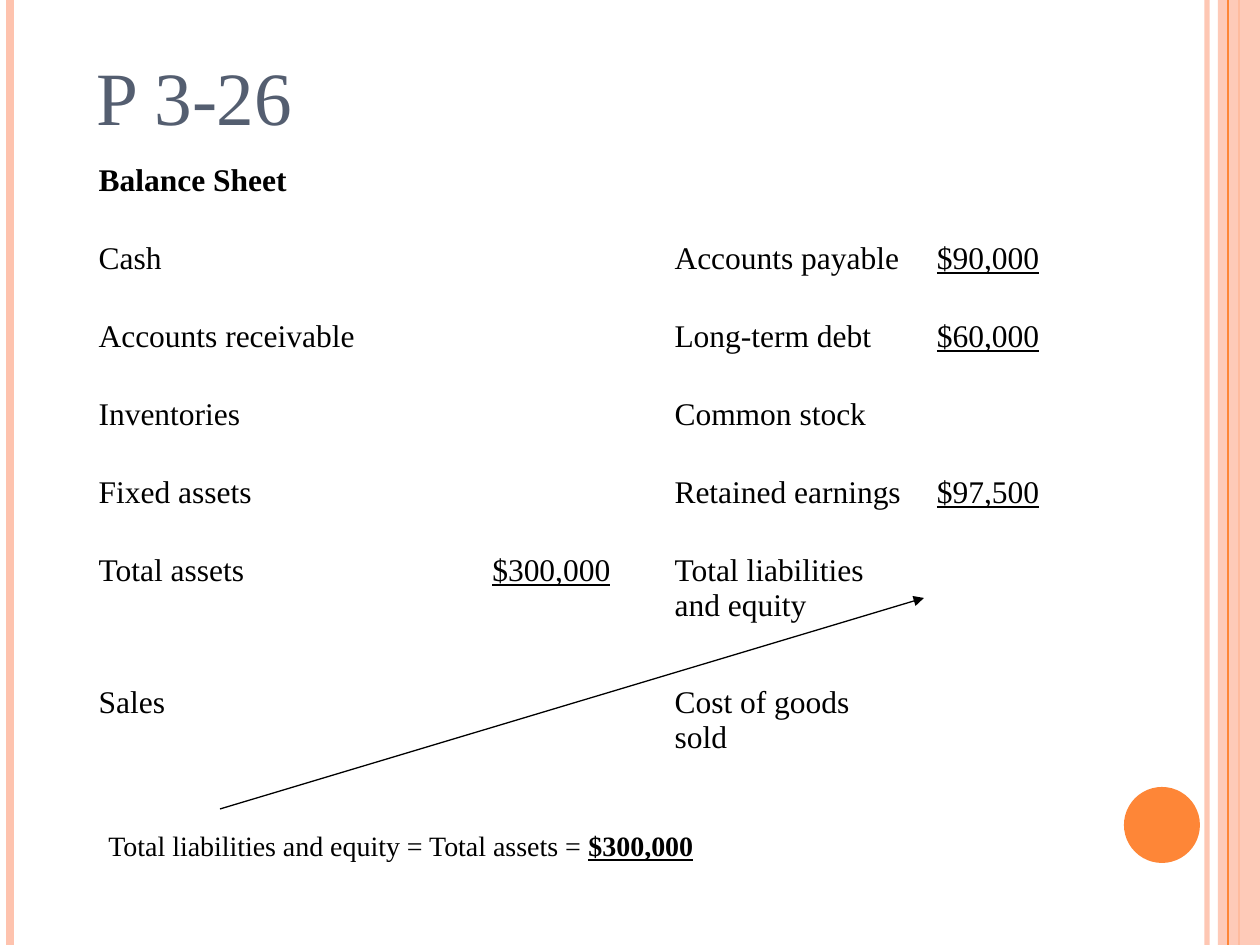
"""Build the P 3-26 balance sheet slide."""
from lxml import etree
from pptx import Presentation
from pptx import util as u
from pptx.dml.color import RGBColor
from pptx.enum import shapes, text
from pptx.oxml.ns import qn

PX = 914400 / 126
WIDTH, HEIGHT = 1260, 945
BLACK, SLATE, ORANGE, PEACH = "000000", "545E70", "FE8637", "FEC3AE"
FONT = "Times New Roman"
NO_STYLE = "{2D5ABB26-0587-4C30-8999-92F81FD0307C}"

TITLE = "P 3-26"
NOTE = "Total liabilities and equity = Total assets = "
NOTE_AMOUNT = "$300,000"
ROWS = [
    ("Balance Sheet", "", "", "", ""),
    ("Cash", "", "", "Accounts payable", "$90,000"),
    ("Accounts receivable", "", "", "Long-term debt", "$60,000"),
    ("Inventories", "", "", "Common stock", ""),
    ("Fixed assets", "", "", "Retained earnings", "$97,500"),
    ("Total assets", "$300,000", "", "Total liabilities and equity", ""),
    ("Sales", "", "", "Cost of goods sold", ""),
]
COLUMN_WIDTHS = [377, 160, 39, 258, 132]
ROW_HEIGHTS = [78, 78, 78, 78, 78, 132, 78]
AMOUNT_COLUMNS = (1, 4)
STRIPES = [(1207, PEACH, 3, 93), (10, PEACH, 4.5, 100), (1239, ORANGE, 1.5, 100)]
INNER_STRIPE = (1228, ORANGE, 0.75, 100)


def px(value):
    return u.Emu(round(value * PX))


def box(*values):
    return [px(value) for value in values]


def color(hex_string):
    return RGBColor.from_string(hex_string)


def set_opacity(element, percent):
    if percent < 100:
        fill_color = next(element.iter(qn("a:srgbClr")))
        etree.SubElement(fill_color, qn("a:alpha"), val=str(percent * 1000))


def add_text(paragraph, content, size=18, ink=BLACK, bold=False, underline=False, align=text.PP_ALIGN.LEFT):
    paragraph.alignment = align
    run = paragraph.add_run()
    run.text = content
    font = run.font
    font.name, font.size = FONT, u.Pt(size)
    font.bold, font.underline = bold, underline
    font.color.rgb = color(ink)


def add_line(slide, ends, ink, weight, opacity=100, arrow=False):
    connector = slide.shapes.add_connector(shapes.MSO_CONNECTOR.STRAIGHT, *box(*ends))
    connector.line.color.rgb = color(ink)
    connector.line.width = u.Pt(weight)
    properties = connector._element.spPr
    set_opacity(properties, opacity)
    if arrow:
        etree.SubElement(connector.line._get_or_add_ln(), qn("a:tailEnd"), type="triangle")
    etree.SubElement(properties, qn("a:effectLst"))


def add_stripe(slide, x, ink, weight, opacity):
    add_line(slide, (x, 0, x, HEIGHT), ink, weight, opacity)


def add_block(slide, kind, place, ink, opacity=100):
    shape = slide.shapes.add_shape(kind, *box(*place))
    shape.shadow.inherit = False
    shape.fill.solid()
    shape.fill.fore_color.rgb = color(ink)
    shape.line.fill.background()
    set_opacity(shape._element.spPr, opacity)


def add_decoration(slide):
    for stripe in STRIPES:
        add_stripe(slide, *stripe)
    add_block(slide, shapes.MSO_SHAPE.RECTANGLE, (1218, 0, 42, HEIGHT), PEACH, 87)
    add_stripe(slide, *INNER_STRIPE)
    add_block(slide, shapes.MSO_SHAPE.OVAL, (1124, 787, 76, 76), ORANGE)


def add_title(slide):
    title = slide.shapes.title
    title.left, title.top, title.width, title.height = box(84, 38, 1033, 109)
    title.text_frame.vertical_anchor = text.MSO_ANCHOR.BOTTOM
    add_text(title.text_frame.paragraphs[0], TITLE, size=43, ink=SLATE)


def add_note(slide):
    frame = slide.shapes.add_textbox(*box(96, 819, 914, 81)).text_frame
    frame.word_wrap = True
    frame.margin_top = px(10)
    paragraph = frame.paragraphs[0]
    add_text(paragraph, NOTE, size=16)
    add_text(paragraph, NOTE_AMOUNT, size=16, bold=True, underline=True)


def add_balance_sheet(slide):
    place = box(86, 157, sum(COLUMN_WIDTHS), sum(ROW_HEIGHTS))
    table = slide.shapes.add_table(len(ROWS), len(COLUMN_WIDTHS), *place).table
    table.first_row = table.horz_banding = False
    table._tbl.tblPr.find(qn("a:tableStyleId")).text = NO_STYLE
    for column, width in zip(table.columns, COLUMN_WIDTHS):
        column.width = px(width)
    for row_index, (row, height) in enumerate(zip(ROWS, ROW_HEIGHTS)):
        table.rows[row_index].height = px(height)
        for column_index, content in enumerate(row):
            cell = table.cell(row_index, column_index)
            cell.fill.background()
            if content:
                amount = column_index in AMOUNT_COLUMNS
                align = text.PP_ALIGN.RIGHT if amount else text.PP_ALIGN.LEFT
                add_text(cell.text_frame.paragraphs[0], content, bold=row_index == 0,
                         underline=amount, align=align)


def main():
    presentation = Presentation()
    presentation.slide_width, presentation.slide_height = box(WIDTH, HEIGHT)
    slide = presentation.slides.add_slide(presentation.slide_layouts[5])
    add_decoration(slide)
    add_note(slide)
    add_line(slide, (220, 809, 924, 598), BLACK, 0.75, arrow=True)
    add_title(slide)
    add_balance_sheet(slide)
    presentation.save("out.pptx")


if __name__ == "__main__":
    main()
